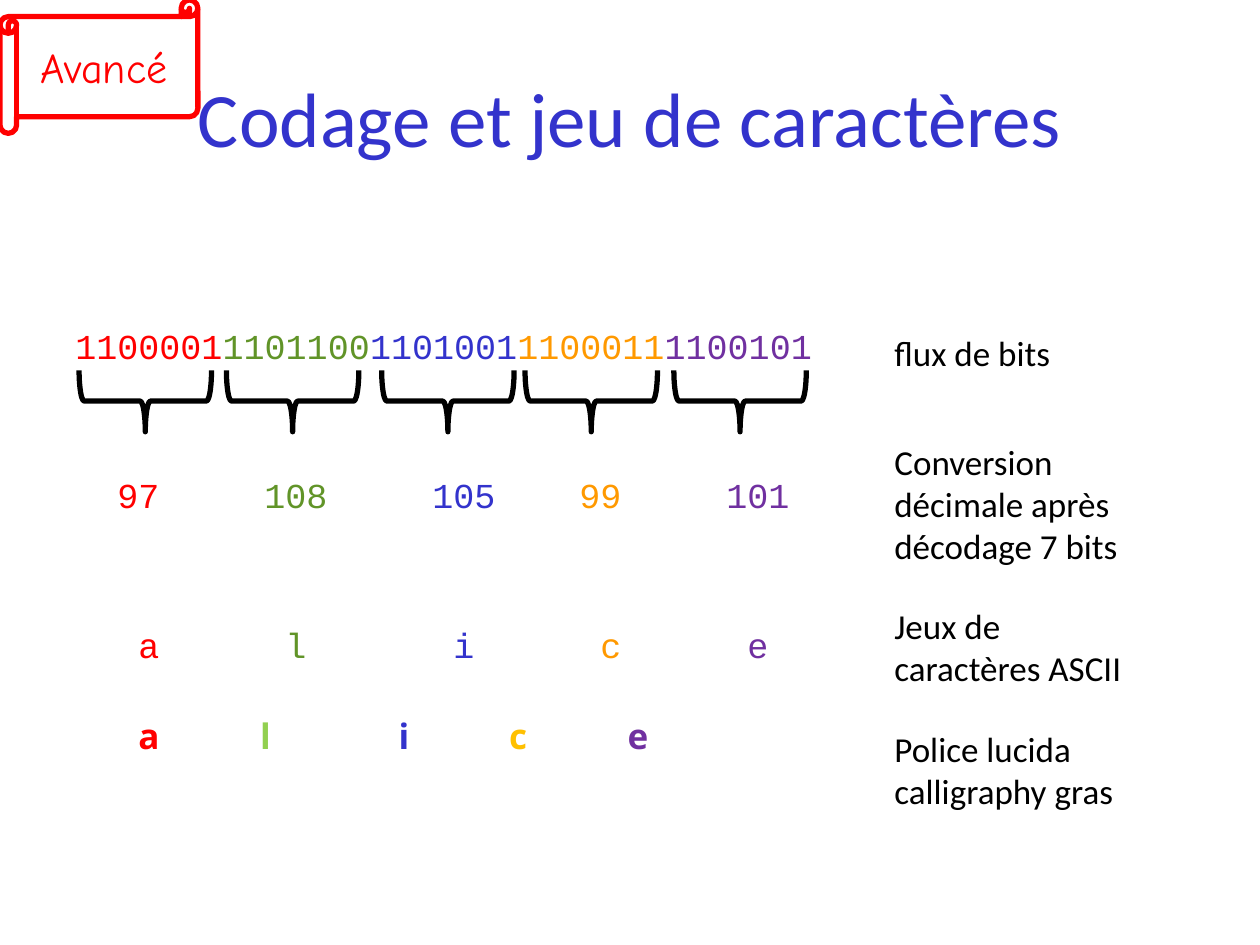
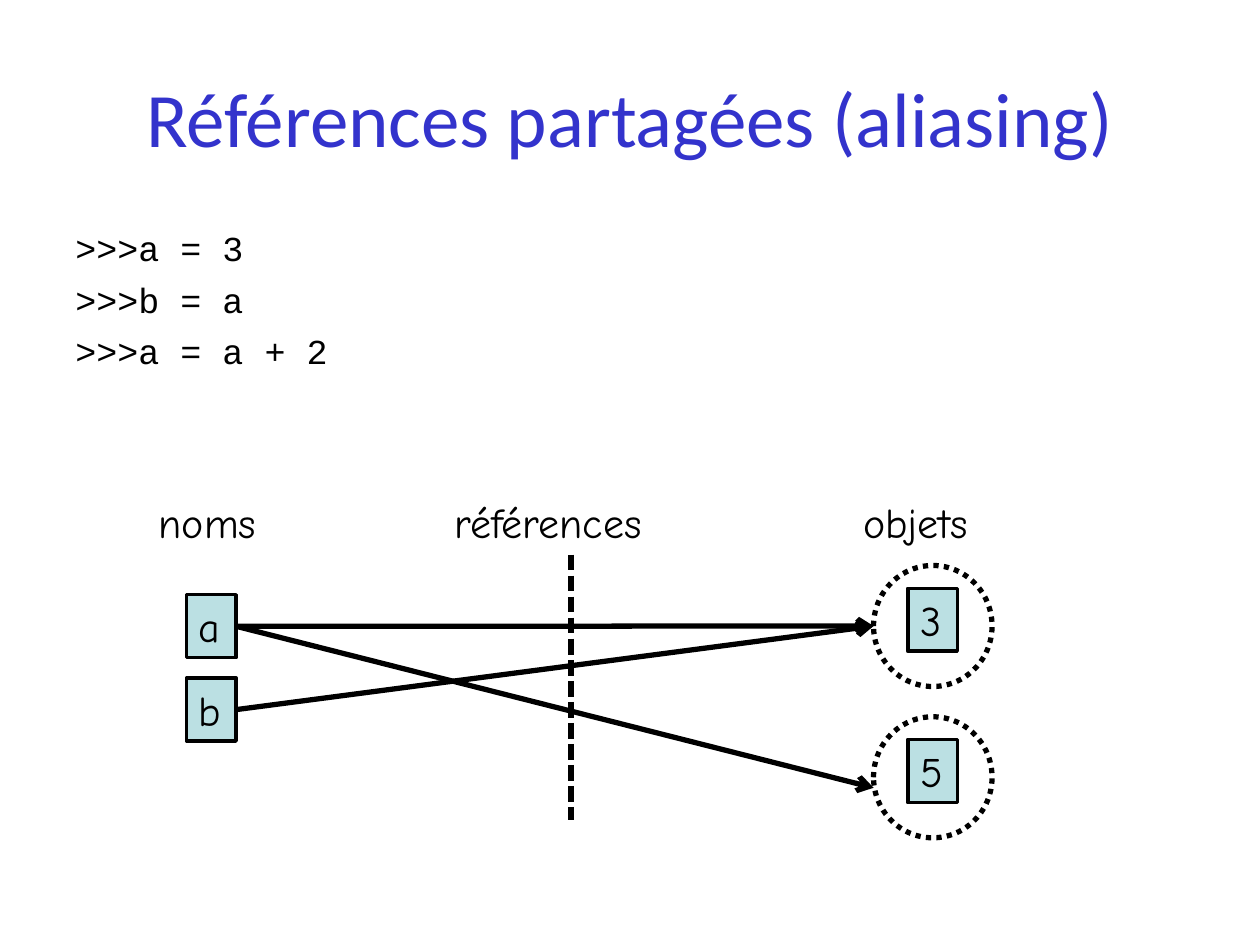
from dataclasses import dataclass

from lxml.etree import SubElement
from pptx import Presentation
from pptx.dml.color import RGBColor
from pptx.enum.dml import MSO_LINE_DASH_STYLE as Dash
from pptx.enum.shapes import MSO_CONNECTOR as Connector, MSO_SHAPE as Preset
from pptx.enum.text import MSO_ANCHOR as Anchor, PP_ALIGN as Align
from pptx.oxml.ns import qn
from pptx.util import Cm, Pt


@dataclass(frozen=True)
class Theme:
    """Colours, fonts and sizes shared by the slides."""
    black: str = "000000"
    red: str = "FF0000"
    blue: str = "3333CC"
    green: str = "619428"
    orange: str = "FF9900"
    purple: str = "7030A0"
    light_green: str = "92D050"
    gold: str = "FFC000"
    pale_blue: str = "BBE0E3"
    main_font: str = "Calibri"
    code_font: str = "Courier New"
    hand_font: str = "Comic Neue"
    glyph_font: str = "Open Sans"
    title_size: int = 44
    hand_size: int = 24
    text_size: int = 20
    code_gap: float = 5.3
    thick: int = 3
    thin: int = 2


@dataclass(frozen=True)
class Box:
    """A rectangle in centimetres."""
    left: float
    top: float
    width: float
    height: float

    def inner(self, left, top, width, height):
        """Return a box whose position is relative to this one."""
        return Box(self.left + left, self.top + top, width, height)

    def lengths(self):
        """Return the position and size as slide lengths."""
        return Cm(self.left), Cm(self.top), Cm(self.width), Cm(self.height)


THEME = Theme()
TITLE_BOX = Box(1.27, 0.76, 22.86, 3.18)
LETTER_COLORS = (THEME.red, THEME.green, THEME.blue, THEME.orange, THEME.purple)
GLYPH_COLORS = (THEME.red, THEME.light_green, THEME.blue, THEME.gold, THEME.purple)


def style_runs(paragraph, font_name, size, color):
    """Format every run of a paragraph."""
    for run in paragraph.runs:
        run.font.name = font_name
        run.font.size = Pt(size)
        run.font.color.rgb = RGBColor.from_string(color)


def style_line(line, color, width, dash=None):
    """Format an outline or a connector line."""
    line.color.rgb = RGBColor.from_string(color)
    line.width = Pt(width)
    if dash is not None:
        line.dash_style = dash


def add_text(shapes, box, text, font_name, size, color=THEME.black):
    """Add a wrapped text box, one paragraph for each line of text."""
    frame = shapes.add_textbox(*box.lengths()).text_frame
    frame.word_wrap = True
    frame.text = text
    for paragraph in frame.paragraphs:
        style_runs(paragraph, font_name, size, color)
    return frame


def add_outline(shapes, preset, box, color, width, dash=None):
    """Add an unfilled preset shape."""
    shape = shapes.add_shape(preset, *box.lengths())
    shape.shadow.inherit = False
    shape.fill.background()
    style_line(shape.line, color, width, dash)
    return shape


def add_value(shapes, box, text):
    """Add a pale rectangle holding a name or a value."""
    shape = add_outline(shapes, Preset.RECTANGLE, box, THEME.black, THEME.thin)
    shape.fill.solid()
    shape.fill.fore_color.rgb = RGBColor.from_string(THEME.pale_blue)
    frame = shape.text_frame
    frame.word_wrap = False
    frame.vertical_anchor = Anchor.TOP
    frame.text = text
    frame.paragraphs[0].alignment = Align.LEFT
    style_runs(frame.paragraphs[0], THEME.hand_font, THEME.hand_size, THEME.black)
    return shape


def add_line(shapes, start, end, dash=None, arrow=False):
    """Add a straight line between two points in centimetres."""
    points = [Cm(value) for value in (*start, *end)]
    connector = shapes.add_connector(Connector.STRAIGHT, *points)
    style_line(connector.line, THEME.black, THEME.thick, dash)
    properties = connector._element.spPr
    if arrow:
        SubElement(properties.find(qn("a:ln")), qn("a:tailEnd"), type="arrow")
    SubElement(properties, qn("a:effectLst"))
    return connector


def add_titled_slide(presentation, title):
    """Add a title-only slide with the shared title style."""
    slide = presentation.slides.add_slide(presentation.slide_layouts[5])
    shape = slide.shapes.title
    shape.left, shape.top, shape.width, shape.height = TITLE_BOX.lengths()
    frame = shape.text_frame
    frame.text = title
    frame.vertical_anchor = Anchor.MIDDLE
    frame.paragraphs[0].alignment = Align.CENTER
    style_runs(frame.paragraphs[0], THEME.main_font, THEME.title_size, THEME.blue)
    return slide


def add_badge(shapes, box, text):
    """Add the scroll that marks an advanced slide."""
    group = shapes.add_group_shape().shapes
    add_outline(group, Preset.HORIZONTAL_SCROLL, box, THEME.red, THEME.thick)
    add_text(group, box.inner(0.56, 0.71, 4.27, 1.27), text,
             THEME.hand_font, THEME.hand_size, THEME.red)


def set_tab_stops(paragraph, columns):
    """Put left tab stops at columns counted in code characters."""
    character_width = Pt(THEME.text_size * 0.6)
    tab_list = SubElement(paragraph._p.get_or_add_pPr(), qn("a:tabLst"))
    for column in columns:
        SubElement(tab_list, qn("a:tab"), algn="l", pos=str(round(column * character_width)))


def add_decoding_rows(shapes, box):
    """Add the bits, numbers, characters and glyphs, one row each."""
    bits = ("1100001", "1101100", "1101001", "1100011", "1100101")
    numbers = ("97", "108", "105", "99", "101")
    rows = (
        (bits, (), THEME.code_gap),
        (numbers, (2, 9, 17, 24, 31), 61.3),
        ("alice", (3, 10, 18, 25, 32), 61.3),
        ("alice", (3, 8.8, 15.4, 20.65, 26.3), 28),
    )
    frame = shapes.add_textbox(*box.lengths()).text_frame
    frame.word_wrap = True
    for index, (words, columns, gap) in enumerate(rows):
        is_glyph_row = index == len(rows) - 1
        paragraph = frame.add_paragraph() if index else frame.paragraphs[0]
        paragraph.space_before = Pt(gap)
        if columns:
            set_tab_stops(paragraph, columns)
        for word in words:
            paragraph.add_run().text = f"\t{word}" if columns else word
        style_runs(paragraph, THEME.glyph_font if is_glyph_row else THEME.code_font,
                   THEME.text_size, THEME.black)
        colors = GLYPH_COLORS if is_glyph_row else LETTER_COLORS
        for run, color in zip(paragraph.runs, colors):
            run.font.color.rgb = RGBColor.from_string(color)
            run.font.bold = is_glyph_row


def add_braces(shapes, box):
    """Add one downward brace under each group of seven bits."""
    for left in (1.04, 4.01, 7.14, 10.03, 13.03):
        brace = add_outline(shapes, Preset.LEFT_BRACE, box.inner(left, 0.33, 1.24, 2.67),
                            THEME.black, THEME.thick)
        brace.rotation = 270


def add_step_labels(shapes, box):
    """Add the explanation of each decoding step."""
    labels = (
        (0, 5.13, 1.12, "flux de bits"),
        (2.21, 6.27, 2.82, "Conversion décimale après décodage 7 bits"),
        (5.51, 5.31, 1.96, "Jeux de caractères ASCII"),
        (8, 6.27, 1.96, "Police lucida calligraphy gras"),
    )
    for top, width, height, text in labels:
        add_text(shapes, box.inner(0, top, width, height), text,
                 THEME.main_font, THEME.text_size)


def add_code(shapes, box, code):
    """Add lines of code with even spacing."""
    frame = add_text(shapes, box, code, THEME.code_font, THEME.text_size)
    for paragraph in frame.paragraphs:
        paragraph.space_before = Pt(THEME.code_gap)


def add_object(shapes, box, text):
    """Add a value inside its dotted memory circle."""
    group = shapes.add_group_shape().shapes
    add_value(group, box.inner(0.69, 0.46, 1, 1.27), text)
    add_outline(group, Preset.OVAL, box, THEME.black, THEME.thick, Dash.ROUND_DOT)


def add_reference_diagram(shapes, box):
    """Add names on the left, objects on the right and their references."""
    for left, width, text in ((0, 2.67, "noms"), (5.97, 5.23, "références"),
                              (14.2, 3.25, "objets")):
        add_text(shapes, box.inner(left, 0, width, 1.27), text,
                 THEME.hand_font, THEME.hand_size)
    names = {name: add_value(shapes, box.inner(0.81, 2.11 + index * 1.68, 1, 1.27), name)
             for index, name in enumerate("ab")}
    middle = box.left + 8.56
    add_line(shapes, (middle, box.top + 1.3), (middle, box.top + 6.66), Dash.SQUARE_DOT)
    for index, value in enumerate("35"):
        add_object(shapes, box.inner(14.66, 1.52 + index * 3.05, 2.39, 2.44), value)
    for name, target in (("a", 2.74), ("b", 2.74), ("a", 6)):
        end = (box.left + 14.66, box.top + target)
        add_line(shapes, end, end, arrow=True).begin_connect(names[name], 3)


def build_encoding_slide(presentation):
    """Build the slide about encoding and character sets."""
    shapes = add_titled_slide(presentation, "Codage et jeu de caractères").shapes
    add_decoding_rows(shapes, Box(1.27, 6.42, 16, 10.6))
    add_badge(shapes, Box(0, 0, 3.99, 2.69), "Avancé")
    add_braces(shapes, Box(1.27, 6.42, 16, 3))
    add_step_labels(shapes, Box(17.78, 6.55, 6.27, 9.96))


def build_aliasing_slide(presentation):
    """Build the slide about shared references."""
    shapes = add_titled_slide(presentation, "Références partagées (aliasing)").shapes
    add_code(shapes, Box(1.27, 4.45, 22.86, 4), ">>>a = 3\n>>>b = a\n>>>a = a + 2")
    add_reference_diagram(shapes, Box(2.95, 9.88, 17.5, 7.1))


def main():
    """Build and save the presentation."""
    presentation = Presentation()
    presentation.slide_width, presentation.slide_height = Cm(25.4), Cm(19.05)
    build_encoding_slide(presentation)
    build_aliasing_slide(presentation)
    presentation.save("out.pptx")


if __name__ == "__main__":
    main()
